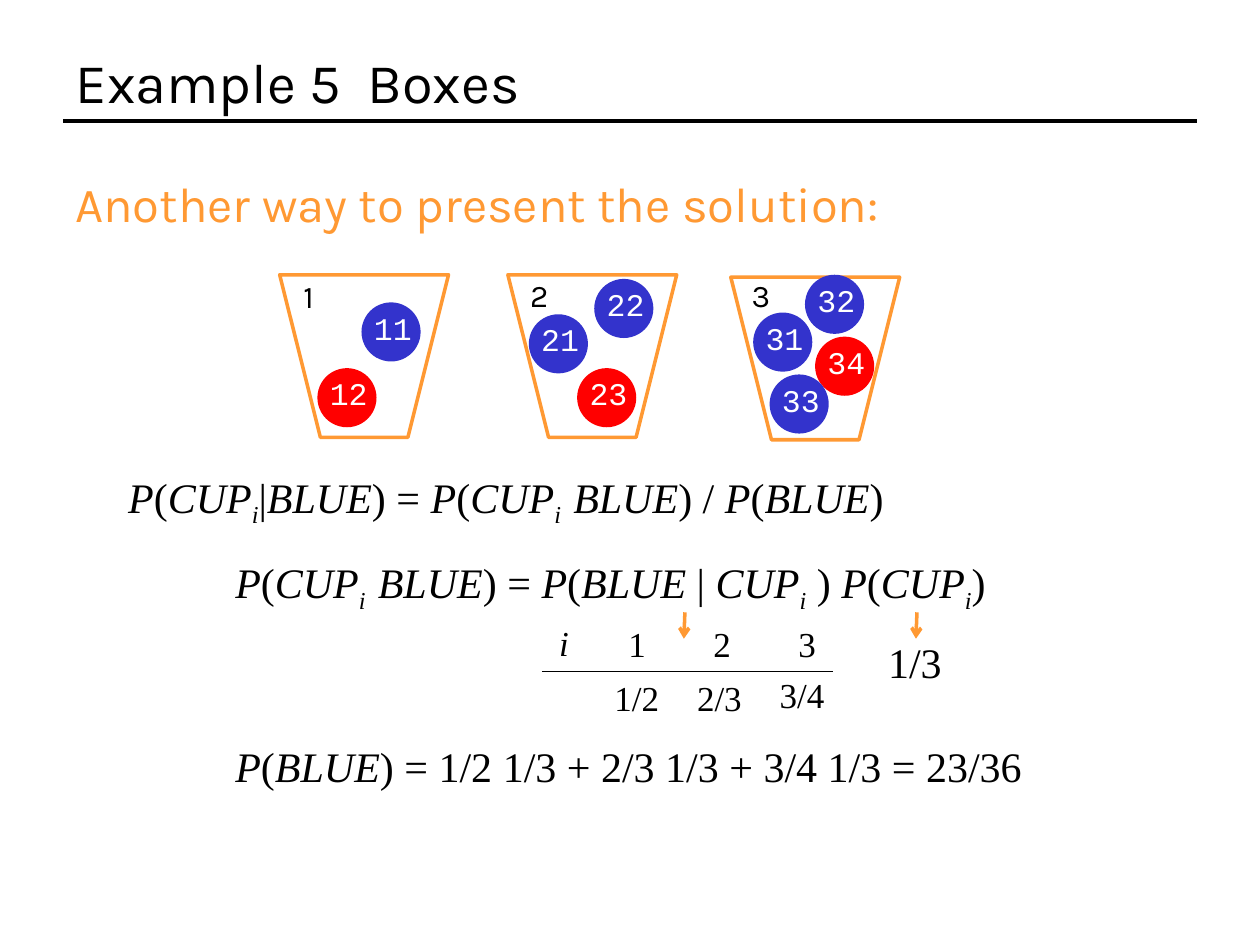
from itertools import groupby

from lxml import etree
from pptx import Presentation
from pptx.dml.color import RGBColor
from pptx.enum.shapes import MSO_CONNECTOR, MSO_SHAPE
from pptx.enum.text import MSO_ANCHOR, PP_ALIGN
from pptx.oxml.ns import qn
from pptx.util import Pt

BLACK = RGBColor(0x00, 0x00, 0x00)
WHITE = RGBColor(0xFF, 0xFF, 0xFF)
ORANGE = RGBColor(0xFF, 0x99, 0x33)
RED = RGBColor(0xFF, 0x00, 0x00)
BLUE = RGBColor(0x33, 0x33, 0xCC)
OVAL, CUP = MSO_SHAPE.OVAL, MSO_SHAPE.TRAPEZOID
LINE = MSO_CONNECTOR.STRAIGHT
LEFT, CENTER = PP_ALIGN.LEFT, PP_ALIGN.CENTER
BOTTOM, MIDDLE = MSO_ANCHOR.BOTTOM, MSO_ANCHOR.MIDDLE
SANS, SERIF, MONO = "Karla", "Times New Roman", "Courier New"

prs = Presentation()
prs.slide_width, prs.slide_height = Pt(720), Pt(540)
slide = prs.slides.add_slide(prs.slide_layouts[5])
shapes = slide.shapes


def add_text(text, x, y, w, h, size, face=SERIF, color=BLACK, wrap=False):
    box = shapes.add_textbox(Pt(x), Pt(y), Pt(w), Pt(h))
    box.text_frame.word_wrap = wrap
    para = box.text_frame.paragraphs[0]
    # Text between underscores is set as a subscript; other letters are italic.
    for part, piece in enumerate(text.split("_")):
        sub = part % 2 == 1
        groups = [(True, piece)] if sub else groupby(piece, str.isalpha)
        if face != SERIF:
            groups = [(False, piece)]
        for slant, chars in groups:
            run = para.add_run()
            run.text = "".join(chars)
            font = run.font
            font.name, font.size, font.italic = face, Pt(size), slant
            font.color.rgb = color
            if sub:
                font._element.set("baseline", "-25000")


def add_line(x1, y1, x2, y2, color, width, arrow=False):
    line = shapes.add_connector(LINE, Pt(x1), Pt(y1), Pt(x2), Pt(y2))
    line.line.color.rgb = color
    line.line.width = Pt(width)
    props = line._element.spPr
    if arrow:
        etree.SubElement(props.find(qn("a:ln")), qn("a:tailEnd"), type="arrow")
    etree.SubElement(props, qn("a:effectLst"))


title = shapes.title
title.left, title.top, title.width, title.height = Pt(36), Pt(21.6), Pt(648), Pt(47.5)
frame = title.text_frame
frame.text = "Example 5  Boxes"
frame.vertical_anchor = BOTTOM
para = frame.paragraphs[0]
para.alignment = LEFT
font = para.runs[0].font
font.name, font.size, font.color.rgb = SANS, Pt(32), BLACK
add_line(36, 69.1, 684, 69.1, BLACK, 2)

add_text("Another way to present the solution:", 36, 95.8, 514, 41,
         28, SANS, ORANGE, True)

cups = [("1", 159.8, 157, 158.4, 151.2),
        ("2", 290.2, 157, 290.2, 150.5),
        ("3", 417.6, 158.4, 416.9, 150.5)]
for name, x, y, tag_x, tag_y in cups:
    cup = shapes.add_shape(CUP, Pt(x), Pt(y), Pt(96.5), Pt(92.9))
    cup.rotation = 180
    cup.shadow.inherit = False
    cup.fill.background()
    cup.line.color.rgb = ORANGE
    cup.line.width = Pt(2)

    tag = shapes.add_shape(OVAL, Pt(tag_x), Pt(tag_y), Pt(36), Pt(36))
    tag.shadow.inherit = False
    tag.fill.background()
    tag.line.fill.background()
    frame = tag.text_frame
    frame.text = name
    frame.word_wrap = False
    frame.vertical_anchor = MIDDLE
    para = frame.paragraphs[0]
    para.alignment = CENTER
    font = para.runs[0].font
    font.name, font.size, font.color.rgb = SANS, Pt(18), BLACK

balls = [("12", 181.4, 210.4, RED), ("34", 465.8, 192.4, RED),
         ("23", 329.8, 210.4, RED), ("32", 460, 157, BLUE),
         ("31", 430.4, 178.6, BLUE), ("33", 439.8, 214, BLUE),
         ("22", 339.6, 159.4, BLUE), ("21", 302.2, 179.6, BLUE),
         ("11", 206.6, 172.8, BLUE)]
for name, x, y, color in balls:
    ball = shapes.add_shape(OVAL, Pt(x), Pt(y), Pt(33.8), Pt(33.8))
    ball.shadow.inherit = False
    ball.fill.solid()
    ball.fill.fore_color.rgb = color
    ball.line.fill.background()
for name, x, y, color in balls:
    add_text(name, x, y, 36, 28.8, 18, MONO, WHITE)

rows = [("P(CUP_i_|BLUE) = P(CUP_i  _BLUE) / P(BLUE)", 66.2, 265.7, 452.2),
        ("P(CUP_i  _BLUE) = P(BLUE | CUP_i_ ) P(CUP_i_)", 127.4, 314.6, 444.2),
        ("P(BLUE) = 1/2 1/3 + 2/3 1/3 + 3/4 1/3 = 23/36", 127.4, 419.8, 503.3),
        ("1/3", 500.4, 360, 49.7)]
for text, x, y, w in rows:
    add_text(text, x, y, w, 36, 24)

for x in (391.4, 524):
    add_line(x, 349.9, x - 0.6, 365, ORANGE, 2, True)

add_line(309.6, 383.8, 475.9, 383.8, BLACK, 0.5)
add_text("i", 312.5, 351.4, 23.8, 31.7, 20)
odds = [("1", "1/2", 383), ("2", "2/3", 383), ("3", "3/4", 381.6)]
for col, (head, odd, y) in enumerate(odds):
    add_text(head, 352 + 48.6 * col, 352, 23.8, 31.7, 20)
    add_text(odd, 344 + 47.2 * col, y, 43.9, 31.7, 20)

prs.save("out.pptx")
